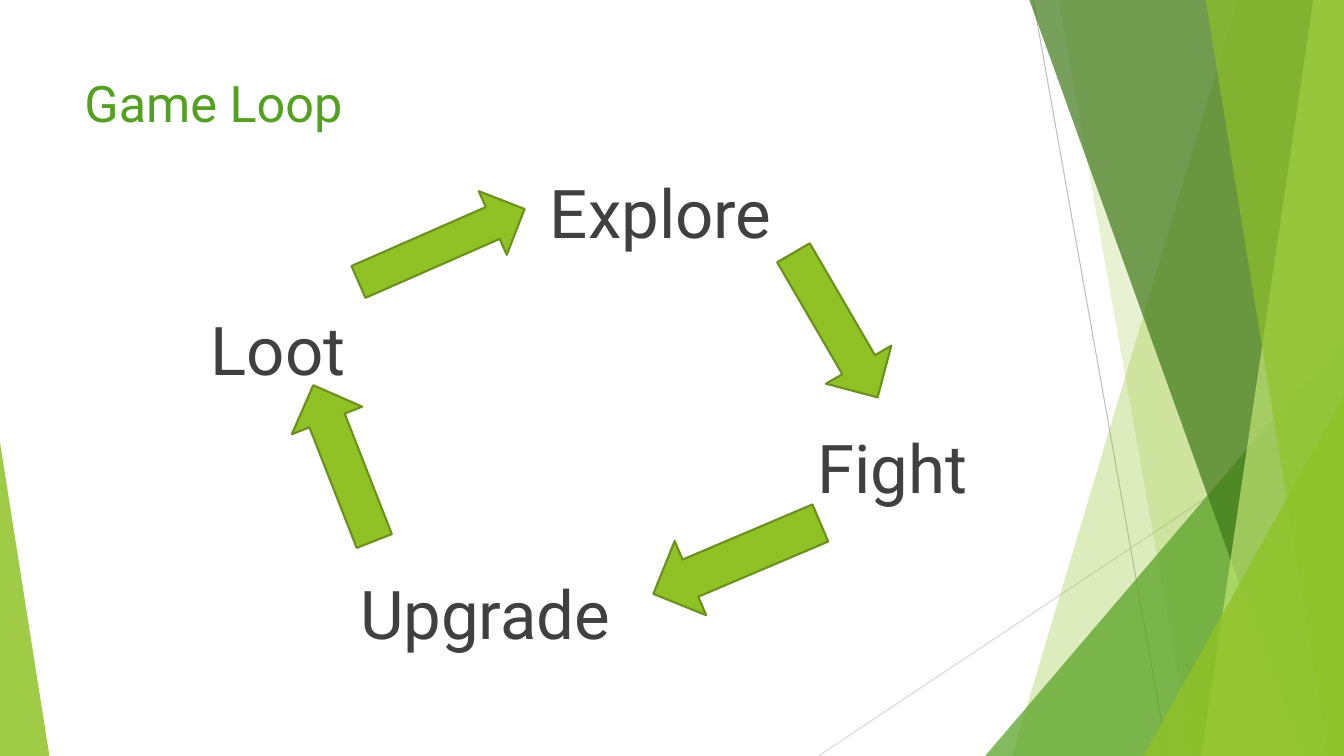
from lxml import etree
from pptx import Presentation
from pptx.dml.color import RGBColor
from pptx.enum.shapes import MSO_CONNECTOR as CONNECTOR, MSO_SHAPE as SHAPE
from pptx.enum.text import MSO_ANCHOR as ANCHOR, PP_ALIGN as ALIGN
from pptx.oxml.ns import qn
from pptx.util import Pt

WIDTH, HEIGHT = 960, 540
FONT = "Roboto"
LIME, GREEN, FOREST, PALE = "90C226", "54A021", "3F7819", "C0E474"
OUTLINE, INK = "6B901C", "404040"

# Thin lines: start x, y, end x, y, colour
RAYS = [
    (738, 0, 834, 540, "BFBFBF"),
    (960, 290, 584.6, 540, "D9D9D9"),
]

# Stages of the loop: word, left, top, width, height
STAGES = [
    ("Loot", 128.2, 216.7, 141.1, 55.4),
    ("Explore", 360.7, 118.8, 222.5, 48.2),
    ("Upgrade", 235.4, 405.4, 222.5, 60.5),
    ("Fight", 526.3, 301, 222.5, 58.3),
]

# Arrows between stages: left, top, width, height, rotation
ARROWS = [
    (250.6, 150.5, 129.6, 49.7, 336.3),
    (537.1, 205.2, 119.5, 54, 59.8),
    (461.5, 370.1, 129.6, 57.6, 157),
    (185.8, 303.8, 119.5, 54, 248.6),
]


def paint(color_format, color):
    """Set a colour from a hex string."""
    color_format.rgb = RGBColor.from_string(color)


def fill_shape(shape, color, opacity=100):
    """Give a shape a flat fill of the given opacity, without shadow."""
    shape.shadow.inherit = False
    shape.fill.solid()
    paint(shape.fill.fore_color, color)
    if opacity < 100:
        tint = shape.fill._xPr.find(".//" + qn("a:srgbClr"))
        etree.SubElement(tint, qn("a:alpha"), val=str(opacity * 1000))


def add_ray(page, start_x, start_y, end_x, end_y, color):
    """Draw a thin straight line."""
    ray = page.shapes.add_connector(
        CONNECTOR.STRAIGHT, Pt(start_x), Pt(start_y), Pt(end_x), Pt(end_y))
    paint(ray.line.color, color)
    ray.line.width = Pt(0.75)
    etree.SubElement(ray._element.spPr, qn("a:effectLst"))


def add_blade(page, top_x, bottom_x, color, opacity):
    """Draw a slanted band that reaches to the right edge of the page."""
    builder = page.shapes.build_freeform(Pt(top_x), Pt(-0.6))
    corners = [(WIDTH, -0.6), (WIDTH, HEIGHT), (bottom_x, HEIGHT)]
    builder.add_line_segments([(Pt(x), Pt(y)) for x, y in corners])
    blade = builder.convert_to_shape()
    fill_shape(blade, color, opacity)
    blade.line.fill.background()


def add_corner(page, left, top, width, apex, color, opacity):
    """Draw a triangle standing on the bottom edge of the page."""
    corner = page.shapes.add_shape(
        SHAPE.ISOSCELES_TRIANGLE, Pt(left), Pt(top), Pt(width), Pt(HEIGHT - top))
    corner.adjustments[0] = apex
    fill_shape(corner, color, opacity)
    corner.line.fill.background()


def add_text(page, text, left, top, width, height, size, color, align):
    """Write one line of text in a box."""
    box = page.shapes.add_textbox(Pt(left), Pt(top), Pt(width), Pt(height))
    frame = box.text_frame
    frame.word_wrap = True
    frame.vertical_anchor = ANCHOR.TOP
    para = frame.paragraphs[0]
    para.alignment = align
    span = para.add_run()
    span.text = text
    span.font.name = FONT
    span.font.size = Pt(size)
    paint(span.font.color, color)


def add_arrow(page, left, top, width, height, rotation):
    """Draw a block arrow turned towards the next stage."""
    arrow = page.shapes.add_shape(
        SHAPE.RIGHT_ARROW, Pt(left), Pt(top), Pt(width), Pt(height))
    arrow.rotation = rotation
    fill_shape(arrow, LIME)
    paint(arrow.line.color, OUTLINE)
    arrow.line.width = Pt(1.5)


def add_backdrop(page):
    """Draw the green facets, from back to front."""
    for ray in RAYS:
        add_ray(page, *ray)
    add_blade(page, 884.2, 722.9, LIME, 30)
    add_blade(page, 756, 851.8, LIME, 20)
    add_corner(page, 703.7, 239.8, 256.3, 1, GREEN, 72)
    add_blade(page, 735.1, 929.5, FOREST, 70)
    add_blade(page, 938.2, 858.2, PALE, 70)
    add_blade(page, 861.1, 949, LIME, 65)
    add_corner(page, 816.7, 283, 143.3, 1, LIME, 80)
    add_corner(page, 0, 316, 35.3, 0, LIME, 85)


def main():
    """Build the game loop slide."""
    deck = Presentation()
    deck.slide_width, deck.slide_height = Pt(WIDTH), Pt(HEIGHT)
    page = deck.slides.add_slide(deck.slide_layouts[6])
    add_backdrop(page)
    add_text(page, "Game Loop", 53.3, 48.2, 676.8, 103.7, 36, GREEN, ALIGN.LEFT)
    for stage in STAGES:
        add_text(page, *stage, 48, INK, ALIGN.CENTER)
    for arrow in ARROWS:
        add_arrow(page, *arrow)
    deck.save("out.pptx")


main()
